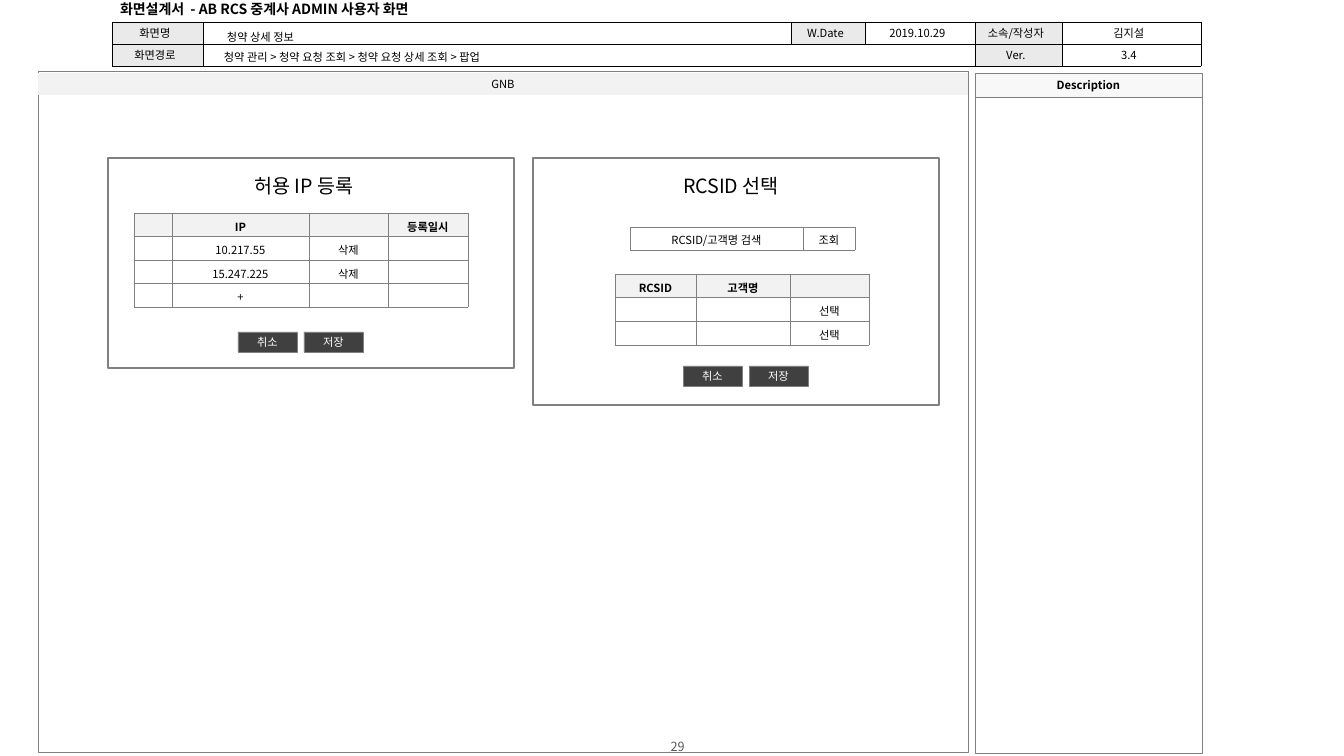
from lxml import etree
from pptx import Presentation, util as u
from pptx.dml.color import RGBColor
from pptx.enum import shapes, text
from pptx.oxml.ns import qn

FONT = "Noto Sans CJK KR"
BLACK = RGBColor(0x00, 0x00, 0x00)
WHITE = RGBColor(0xFF, 0xFF, 0xFF)
GRAY = RGBColor(0x80, 0x80, 0x80)
PAGE_GRAY = RGBColor(0x59, 0x59, 0x59)
DARK = RGBColor(0x40, 0x40, 0x40)
LABEL = RGBColor(0xEA, 0xEA, 0xEA)
HEAD = RGBColor(0xF2, 0xF2, 0xF2)
PALE = RGBColor(0xF8, 0xF8, 0xF8)
CENTER = text.PP_ALIGN.CENTER
LEFT = text.PP_ALIGN.LEFT
MIDDLE = text.MSO_ANCHOR.MIDDLE
TOP = text.MSO_ANCHOR.TOP


def px(n):
    return u.Emu(round(n * 914400 / 100.8))


def write(tf, words, size=8, color=BLACK, bold=False, align=CENTER):
    tf.text = words
    p = tf.paragraphs[0]
    p.alignment = align
    if not words:
        p._p.get_or_add_endParaRPr().set("sz", str(size * 100))
    for r in p.runs:
        r.font.size = u.Pt(size)
        r.font.bold = bold
        r.font.color.rgb = color
        r.font.name = FONT
        etree.SubElement(r._r.get_or_add_rPr(), qn("a:ea")).set("typeface", FONT)


def add_label(s, x, y, w, h, words, anchor=TOP, margins=(10, 5), wrap=True, **style):
    tf = s.shapes.add_textbox(px(x), px(y), px(w), px(h)).text_frame
    tf.word_wrap = wrap
    tf.vertical_anchor = anchor
    tf.margin_left = tf.margin_right = px(margins[0])
    tf.margin_top = tf.margin_bottom = px(margins[1])
    write(tf, words, **style)


def add_box(s, x, y, w, h, words="", fill=None, line=GRAY, weight=0.25, **style):
    sp = s.shapes.add_shape(shapes.MSO_SHAPE.RECTANGLE, px(x), px(y), px(w), px(h))
    sp.shadow.inherit = False
    if fill is None:
        sp.fill.background()
    else:
        sp.fill.solid()
        sp.fill.fore_color.rgb = fill
    if line is None:
        sp.line.fill.background()
    else:
        sp.line.color.rgb = line
        sp.line.width = u.Pt(weight)
    if words:
        tf = sp.text_frame
        tf.vertical_anchor = MIDDLE
        tf.margin_top = tf.margin_bottom = 0
        write(tf, words, **style)


def add_borders(cell, color):
    tcPr = cell._tc.get_or_add_tcPr()
    for i, side in enumerate(("a:lnL", "a:lnR", "a:lnT", "a:lnB")):
        ln = etree.Element(qn(side), w=str(u.Pt(0.25)))
        fill = etree.SubElement(ln, qn("a:solidFill"))
        etree.SubElement(fill, qn("a:srgbClr")).set("val", str(color))
        tcPr.insert(i, ln)


def add_grid(s, x, y, cols, height, rows, fill_of, line=GRAY, margins=(10, 4, 10, 1), header=False):
    table = s.shapes.add_table(len(rows), len(cols), px(x), px(y), px(sum(cols)), px(height)).table
    table.first_row = table.horz_banding = False
    for col, width in zip(table.columns, cols):
        col.width = px(width)
    for i, row in enumerate(rows):
        table.rows[i].height = px(height / len(rows))
        for j, words in enumerate(row):
            cell = table.cell(i, j)
            cell.vertical_anchor = MIDDLE
            cell.margin_left, cell.margin_top, cell.margin_right, cell.margin_bottom = map(px, margins)
            write(cell.text_frame, words, bold=header and i == 0)
            fill = fill_of(i, j)
            if fill is None:
                cell.fill.background()
            else:
                cell.fill.solid()
                cell.fill.fore_color.rgb = fill
            add_borders(cell, line)
    return table


def head_fill(i, j):
    return HEAD if i == 0 else None


def no_fill(i, j):
    return None


def add_header(s, x, y):
    rows = [["화면명", "", "W.Date", "2019.10.29", "소속/작성자", "김지설"],
            ["화면경로", "", "", "", "Ver.", "3.4"]]
    table = add_grid(s, x, y, [91, 588, 74, 110, 87, 139], 44, rows,
                     lambda i, j: WHITE if j % 2 or (i and j == 2) else LABEL,
                     line=BLACK, margins=(4, 2, 9, 2))
    table.cell(1, 1).merge(table.cell(1, 3))
    add_label(s, x - 1, y - 26, 350, 26, "화면설계서  - AB RCS 중계사 ADMIN 사용자 화면",
              anchor=MIDDLE, margins=(9, 4), size=10, bold=True, align=LEFT)
    add_label(s, x + 105, y + 3, 210, 24, "청약 상세 정보", align=LEFT)
    add_label(s, x + 102, y + 23, 484, 24,
              "청약 관리 > 청약 요청 조회 > 청약 요청 상세 조회 > 팝업", align=LEFT)


def add_screen(s, x, y, w, h):
    add_box(s, x, y, w, h)
    add_box(s, x, y + 2, w, 22, "GNB", fill=HEAD, line=None)


def add_description(s, x, y, w, h):
    add_box(s, x, y + 24, w, h - 24)
    add_box(s, x, y, w, 24, "Description", fill=PALE, bold=True)


def add_popup(s, x, y, w, h, title, buttons_x, buttons_y):
    add_box(s, x, y, w, h, weight=1)
    add_label(s, x + w / 2 - 73, y + 11, 136, 34, title, wrap=False, size=14)
    for i, words in enumerate(("취소", "저장")):
        add_box(s, x + buttons_x + 66 * i, y + buttons_y, 59, 20, words, fill=DARK, color=WHITE)


def add_ip_popup(s, x, y, w, h):
    rows = [["", "IP", "", "등록일시"], ["", "10.217.55", "삭제", ""],
            ["", "15.247.225", "삭제", ""], ["", "+", "", ""]]
    add_grid(s, x + 26, y + 55, [38, 137, 79, 80], 94, rows, head_fill, header=True)
    add_popup(s, x, y, w, h, "허용 IP 등록 ", 130, 174)


def add_rcsid_popup(s, x, y, w, h):
    rows = [["RCSID", "고객명", ""], ["", "", "선택"], ["", "", "선택"]]
    add_grid(s, x + 82, y + 116, [81, 94, 79], 71, rows, head_fill, header=True)
    add_popup(s, x, y, w, h, "RCSID 선택", 150, 208)
    add_grid(s, x + 97, y + 69, [173, 52], 23, [["RCSID/고객명 검색", "조회"]], no_fill)


def main():
    prs = Presentation()
    prs.slide_width, prs.slide_height = px(1344), px(756)
    s = prs.slides.add_slide(prs.slide_layouts[6])
    add_label(s, 521, 740, 313, 13, "29", anchor=MIDDLE, margins=(0, 0), size=9, color=PAGE_GRAY)
    add_screen(s, 38, 71, 930, 681)
    add_header(s, 112, 22)
    add_description(s, 975, 73, 227, 680)
    add_ip_popup(s, 108, 158, 406, 210)
    add_rcsid_popup(s, 533, 158, 406, 247)
    prs.save("out.pptx")


if __name__ == "__main__":
    main()
